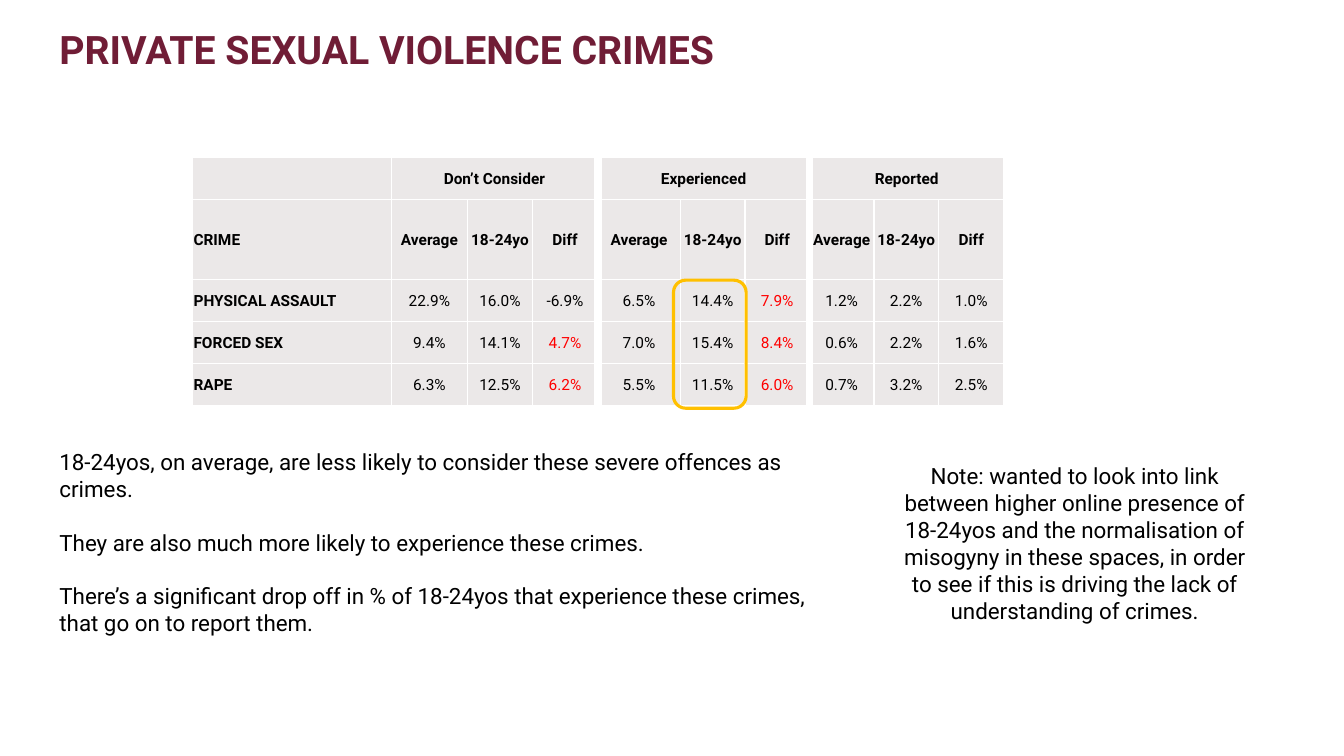
from dataclasses import dataclass

import lxml.etree
import pptx
import pptx.dml.color
import pptx.enum.shapes
import pptx.enum.text
import pptx.oxml.ns
import pptx.table
import pptx.text.text
import pptx.util

Inches = pptx.util.Inches
Color = pptx.dml.color.RGBColor.from_string
Align = pptx.enum.text.PP_ALIGN
Middle = pptx.enum.text.MSO_ANCHOR.MIDDLE


@dataclass(frozen=True)
class Theme:
    font: str = "Roboto"
    title: str = "701D36"
    text: str = "000000"
    alert: str = "FF0000"
    cell: str = "EBE8E8"
    rule: str = "FFFFFF"
    ring: str = "FFC000"
    title_size: int = 28
    body_size: int = 16
    table_size: int = 11
    thin: float = 1
    thick: float = 6


THEME = Theme()


@dataclass(frozen=True)
class Note:
    box: tuple[float, float, float, float]
    lines: tuple[str, ...]
    size: int = THEME.body_size
    color: str = THEME.text
    bold: bool = False
    align: Align = Align.LEFT
    inset: float = 0.08


@dataclass(frozen=True)
class Crime:
    name: str
    rates: tuple[str, ...]
    alerts: tuple[int, ...]


NOTES = (
    Note((0.59, 0.25, 12.74, 0.47), ("PRIVATE SEXUAL VIOLENCE CRIMES",),
         THEME.title_size, THEME.title, True, inset=0),
    Note((0.51, 4.37, 7.67, 2.04), (
        "18-24yos, on average, are less likely to consider these severe offences as crimes.",
        "They are also much more likely to experience these crimes.",
        "There’s a significant drop off in % of 18-24yos that experience these crimes, "
        "that go on to report them.")),
    Note((8.81, 4.51, 3.7, 1.77), (
        "Note: wanted to look into link between higher online presence of 18-24yos and the "
        "normalisation of misogyny in these spaces, in order to see if this is driving the "
        "lack of understanding of crimes.",), align=Align.CENTER),
)

GROUPS = ("Don’t Consider", "Experienced", "Reported")
HEADS = ("Average", "18-24yo", "Diff")
SPAN = len(HEADS)
CRIMES = (
    Crime("PHYSICAL ASSAULT", ("22.9%", "16.0%", "-6.9%", "6.5%", "14.4%", "7.9%",
                               "1.2%", "2.2%", "1.0%"), (6,)),
    Crime("FORCED SEX", ("9.4%", "14.1%", "4.7%", "7.0%", "15.4%", "8.4%",
                         "0.6%", "2.2%", "1.6%"), (3, 6)),
    Crime("RAPE", ("6.3%", "12.5%", "6.2%", "5.5%", "11.5%", "6.0%",
                   "0.7%", "3.2%", "2.5%"), (3, 6)),
)
WIDTHS = (1.97, 0.76, 0.64, 0.65, 0.82, 0.64, 0.64, 0.64, 0.64, 0.65)
HEIGHTS = (0.42, 0.79, 0.42, 0.42, 0.42)


def style(para: pptx.text.text._Paragraph, size: int, color: str, bold: bool) -> None:
    for run in para.runs:
        run.font.name = THEME.font
        run.font.size = pptx.util.Pt(size)
        run.font.bold = bold
        run.font.color.rgb = Color(color)


def add_note(slide: pptx.slide.Slide, note: Note) -> None:
    frame = slide.shapes.add_textbox(*map(Inches, note.box)).text_frame
    frame.word_wrap = True
    frame.margin_left = frame.margin_right = Inches(note.inset)
    frame.margin_top = frame.margin_bottom = Inches(note.inset)
    frame.text = "\n".join(note.lines)
    for row, para in enumerate(frame.paragraphs):
        para.alignment = note.align
        if row:
            para.space_before = pptx.util.Pt(19)
        style(para, note.size, note.color, note.bold)


def add_edge(cell: pptx.table._Cell, side: str, width: float) -> None:
    props = cell._tc.get_or_add_tcPr()
    line = lxml.etree.SubElement(props, pptx.oxml.ns.qn(f"a:ln{side}"),
                                 w=str(pptx.util.Pt(width)))
    fill = lxml.etree.SubElement(line, pptx.oxml.ns.qn("a:solidFill"))
    lxml.etree.SubElement(fill, pptx.oxml.ns.qn("a:srgbClr"), val=THEME.rule)


def set_cell(cell: pptx.table._Cell, text: str, col: int, last: int,
             color: str = THEME.text, bold: bool = True) -> None:
    # Thick rules part the groups of columns
    parts = (SPAN, 2 * SPAN)
    add_edge(cell, "L", THEME.thick if col - 1 in parts else THEME.thin)
    add_edge(cell, "R", THEME.thick if last in parts else THEME.thin)
    add_edge(cell, "T", THEME.thin)
    add_edge(cell, "B", THEME.thin)
    cell.fill.solid()
    cell.fill.fore_color.rgb = Color(THEME.cell)
    cell.margin_left = cell.margin_right = cell.margin_top = Inches(0.01)
    cell.margin_bottom = 0
    cell.vertical_anchor = Middle
    cell.text_frame.text = text
    para = cell.text_frame.paragraphs[0]
    para.alignment = Align.CENTER if col else Align.LEFT
    style(para, THEME.table_size, color, bold)


def add_rates(slide: pptx.slide.Slide) -> None:
    frame = slide.shapes.add_table(len(HEIGHTS), len(WIDTHS), Inches(1.91), Inches(1.56),
                                   Inches(sum(WIDTHS)), Inches(sum(HEIGHTS)))
    table = frame.table
    table.first_row = table.horz_banding = False
    for col, width in enumerate(WIDTHS):
        table.columns[col].width = Inches(width)
    for row, height in enumerate(HEIGHTS):
        table.rows[row].height = Inches(height)

    # Group heads
    set_cell(table.cell(0, 0), "", 0, 0)
    for num, group in enumerate(GROUPS):
        col = 1 + num * SPAN
        last = col + SPAN - 1
        table.cell(0, col).merge(table.cell(0, last))
        set_cell(table.cell(0, col), group, col, last)

    # Column heads
    for col, head in enumerate(("CRIME",) + HEADS * len(GROUPS)):
        set_cell(table.cell(1, col), head, col, col)

    # Rates for each crime
    for row, crime in enumerate(CRIMES, 2):
        for col, text in enumerate((crime.name,) + crime.rates):
            color = THEME.alert if col in crime.alerts else THEME.text
            set_cell(table.cell(row, col), text, col, col, color, col == 0)


def add_ring(slide: pptx.slide.Slide) -> None:
    ring = slide.shapes.add_shape(pptx.enum.shapes.MSO_SHAPE.ROUNDED_RECTANGLE,
                                  *map(Inches, (6.68, 2.78, 0.72, 1.27)))
    ring.shadow.inherit = False
    ring.fill.background()
    ring.line.color.rgb = Color(THEME.ring)
    ring.line.width = pptx.util.Pt(2.25)


def main() -> None:
    deck = pptx.Presentation()
    deck.slide_width = Inches(13.33)
    deck.slide_height = Inches(7.5)
    slide = deck.slides.add_slide(deck.slide_layouts[6])
    add_rates(slide)
    add_ring(slide)
    for note in NOTES:
        add_note(slide, note)
    deck.save("out.pptx")


if __name__ == "__main__":
    main()
